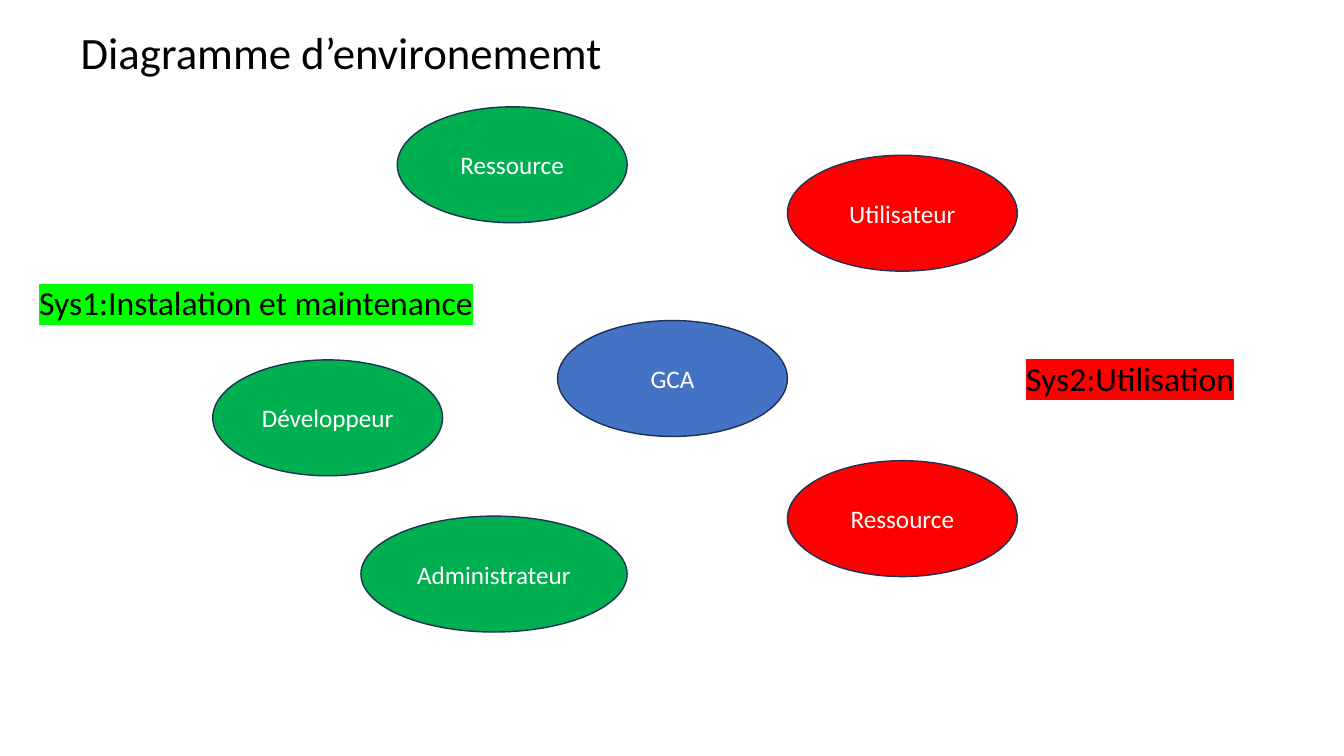
from lxml import etree
from pptx import Presentation
from pptx import util as u
from pptx.dml.color import RGBColor
from pptx.enum import shapes, text
from pptx.oxml.ns import qn

GREEN, RED, BLUE = "00B050", "FF0000", "4472C4"
OUTLINE, WHITE, BLACK = "1E3256", "FFFFFF", "000000"
ACTOR_WIDTH, ACTOR_HEIGHT = 2.28, 1.15


def color(value):
    return RGBColor.from_string(value)


def write(frame, content, size, ink=BLACK, align=text.PP_ALIGN.LEFT,
          anchor=text.MSO_ANCHOR.TOP, wrap=False, highlight=None):
    frame.word_wrap = wrap
    frame.vertical_anchor = anchor
    para = frame.paragraphs[0]
    para.alignment = align
    span = para.add_run()
    span.text = content
    span.font.size = u.Pt(size)
    span.font.color.rgb = color(ink)
    if highlight:
        # The highlight belongs between the text fill and the font name
        mark = etree.SubElement(span.font._element, qn("a:highlight"))
        etree.SubElement(mark, qn("a:srgbClr"), val=highlight)
    span.font.name = "Calibri"


def add_title(page, content, left, top, width, height):
    title = page.shapes.title
    title.left, title.top = u.Inches(left), u.Inches(top)
    title.width, title.height = u.Inches(width), u.Inches(height)
    write(title.text_frame, content, 32)
    title.text_frame.auto_size = text.MSO_AUTO_SIZE.SHAPE_TO_FIT_TEXT
    title.text_frame.paragraphs[0].line_spacing = 1.0


def add_actor(page, name, fill, left, top, width=ACTOR_WIDTH):
    oval = page.shapes.add_shape(
        shapes.MSO_SHAPE.OVAL, u.Inches(left), u.Inches(top),
        u.Inches(width), u.Inches(ACTOR_HEIGHT))
    oval.shadow.inherit = False
    oval.fill.solid()
    oval.fill.fore_color.rgb = color(fill)
    oval.line.color.rgb = color(OUTLINE)
    oval.line.width = u.Pt(1)
    write(oval.text_frame, name, 18, ink=WHITE, align=text.PP_ALIGN.CENTER,
          anchor=text.MSO_ANCHOR.MIDDLE, wrap=True)


def add_system_label(page, content, highlight, left, top, width):
    box = page.shapes.add_textbox(
        u.Inches(left), u.Inches(top), u.Inches(width), u.Inches(0.5))
    write(box.text_frame, content, 24, highlight=highlight)
    box.text_frame.auto_size = text.MSO_AUTO_SIZE.SHAPE_TO_FIT_TEXT


def build_environment_slide(deck):
    page = deck.slides.add_slide(deck.slide_layouts[5])
    add_title(page, "Diagramme d’environememt", 0.7, 0.19, 5.53, 0.64)

    # Central system
    add_actor(page, "GCA", BLUE, 5.53, 3.18)

    # Installation and maintenance side
    add_actor(page, "Ressource", GREEN, 3.94, 1.06)
    add_actor(page, "Développeur", GREEN, 2.11, 3.57)
    add_actor(page, "Administrateur", GREEN, 3.58, 5.12, width=2.64)
    add_system_label(page, "Sys1:Instalation et maintenance", "00FF00",
                     0.29, 2.75, 4.54)

    # Usage side
    for name, top in (("Utilisateur", 1.54), ("Ressource", 4.57)):
        add_actor(page, name, RED, 7.81, top)
    add_system_label(page, "Sys2:Utilisation", RED, 10.08, 3.5, 2.28)


def main():
    deck = Presentation()
    deck.slide_width, deck.slide_height = u.Inches(13.33), u.Inches(7.5)
    build_environment_slide(deck)
    deck.save("out.pptx")


if __name__ == "__main__":
    main()
